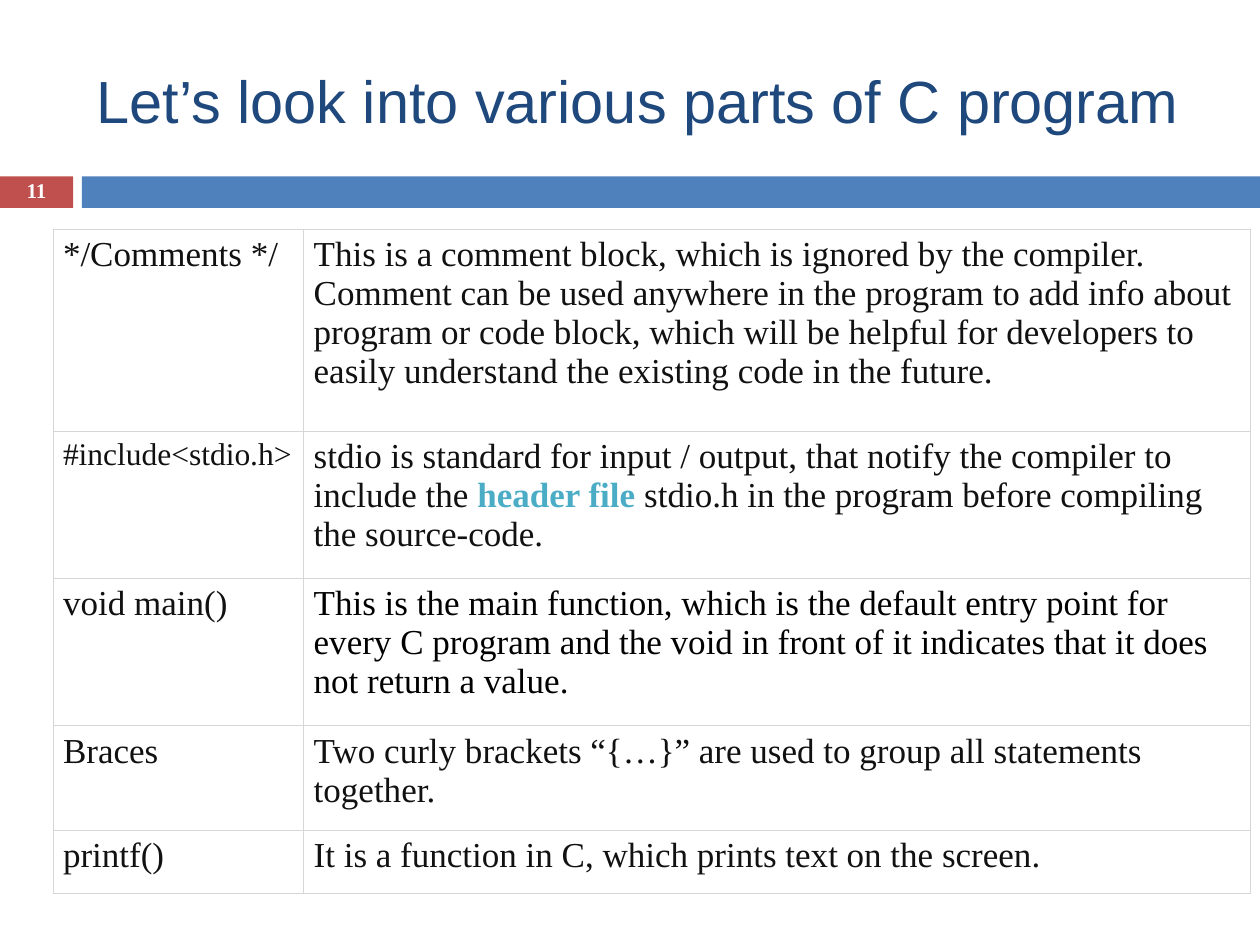
"""Build a slide that explains the parts of a C program in a table."""
from lxml import etree
from pptx import Presentation
from pptx.dml.color import RGBColor
from pptx.enum.shapes import MSO_SHAPE
from pptx.enum.text import MSO_ANCHOR, PP_ALIGN
from pptx.oxml.ns import qn
from pptx.util import Inches, Pt

RECT = MSO_SHAPE.RECTANGLE
MIDDLE = MSO_ANCHOR.MIDDLE
LEFT, CENTER = PP_ALIGN.LEFT, PP_ALIGN.CENTER
SERIF = "Times New Roman"
INK = "111111"


def paint(target, color):
    if hasattr(target, "solid"):
        target.solid()
        target = target.fore_color
    target.rgb = RGBColor.from_string(color)


def write(frame, text, size=20, font=SERIF, color=INK, bold=False, align=LEFT, space=None):
    frame.word_wrap = True
    para = frame.paragraphs[0]
    para.alignment = align
    para.line_spacing = space
    run = para.add_run()
    run.text = text
    run.font.size = Pt(size)
    run.font.name = font
    run.font.bold = bold
    paint(run.font.color, color)


prs = Presentation()
prs.slide_width, prs.slide_height = Inches(10), Inches(7.5)
slide = prs.slides.add_slide(prs.slide_layouts[6])
shapes = slide.shapes

for left, width, color in [(0, 0.58, "C0504D"), (0.65, 9.35, "4F81BD")]:
    bar = shapes.add_shape(RECT, Inches(left), Inches(1.4), Inches(width), Inches(0.25))
    bar.shadow.inherit = False
    paint(bar.fill, color)
    bar.line.fill.background()

title = shapes.add_textbox(Inches(0.67), Inches(0.25), Inches(8.92), Inches(1.08))
title.text_frame.vertical_anchor = MIDDLE
write(title.text_frame, "Let’s look into various parts of C program",
      size=34, font="Arial", color="1F497D")

number = shapes.add_textbox(0, Inches(1.39), Inches(0.58), Inches(0.27))
number.text_frame.vertical_anchor = MIDDLE
write(number.text_frame, "11", size=12, color="FFFFFF", bold=True, align=CENTER, space=0.8)

parts = [
    (1.6, [("*/Comments */", {})],
     [("This is a comment block, which is ignored by the compiler. Comment can be used "
       "anywhere in the program to add info about program or code block, which will be "
       "helpful for developers to easily understand the existing code in the future.", {})]),
    (1.17, [("#include<stdio.h>", {"size": 18})],
     [("stdio is standard for input / output, that notify the compiler to include the ", {}),
      ("header file ", {"color": "4BACC6", "bold": True}),
      ("stdio.h in the program before compiling the source-code.", {})]),
    (1.17, [("void main()", {})],
     [("This is the main function, which is the default entry point for every C program "
       "and the void in front of it indicates that it does not return a value.",
       {"color": "000000"})]),
    (0.83, [("Braces", {})],
     [("Two curly brackets “{…}” are used to group all statements together.", {})]),
    (0.5, [("printf()", {})],
     [("It is a function in C, which prints text on the screen.", {})]),
]

table = shapes.add_table(len(parts), 2, Inches(0.42), Inches(1.82),
                         Inches(9.5), Inches(5.27)).table
table.first_row = table.horz_banding = False
table.columns[0].width, table.columns[1].width = Inches(1.99), Inches(7.51)

for row, (height, *texts) in zip(table.rows, parts):
    row.height = Inches(height)
    for cell, runs in zip(row.cells, texts):
        cell.margin_left = cell.margin_right = Inches(0.08)
        cell.margin_top = cell.margin_bottom = Inches(0.05)
        for text, style in runs:
            write(cell.text_frame, text, **style)
        props = cell._tc.get_or_add_tcPr()
        for side in ("a:lnL", "a:lnR", "a:lnT", "a:lnB"):
            edge = etree.SubElement(props, qn(side), w=str(Pt(0.34)))
            fill = etree.SubElement(edge, qn("a:solidFill"))
            etree.SubElement(fill, qn("a:srgbClr"), val="D6D6D6")
        paint(cell.fill, "FFFFFF")

prs.save("out.pptx")
